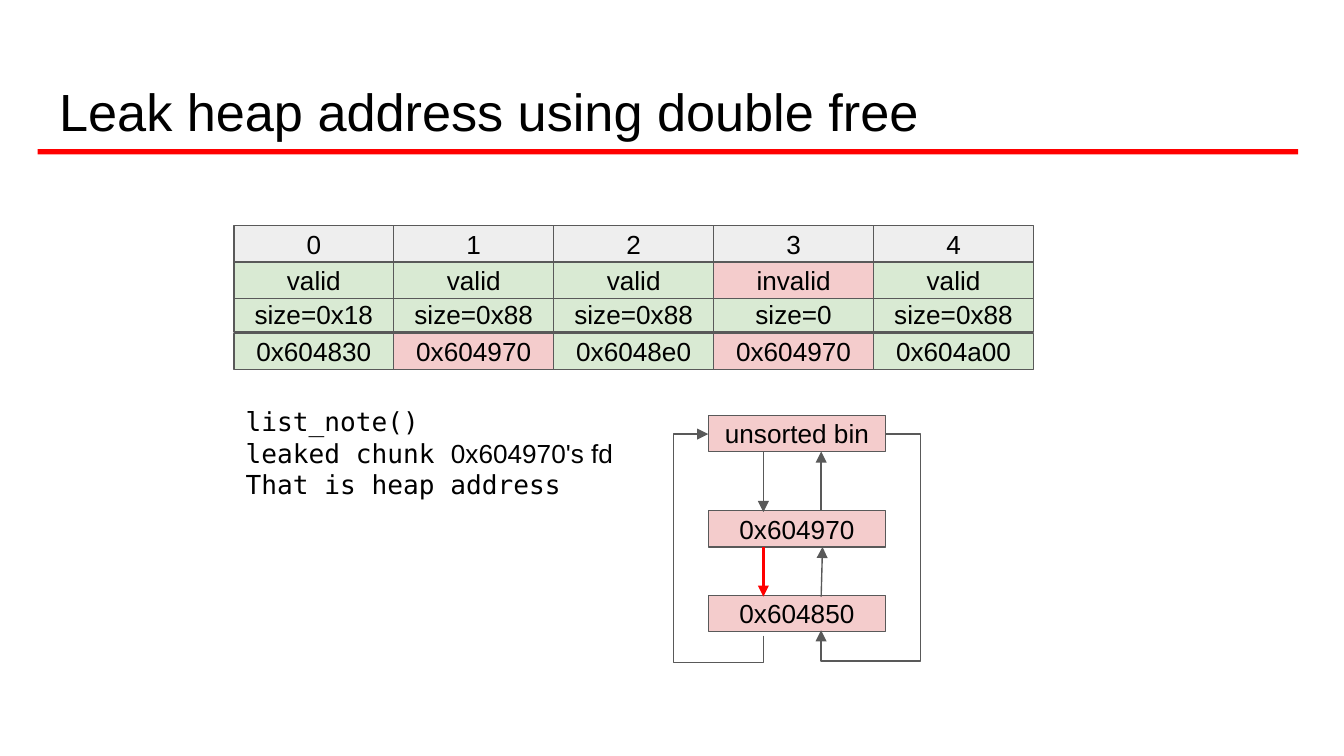
from dataclasses import dataclass

from lxml.etree import SubElement
from pptx import Presentation
from pptx.dml.color import RGBColor
from pptx.enum.shapes import MSO_CONNECTOR, MSO_SHAPE
from pptx.enum.text import MSO_ANCHOR, PP_ALIGN
from pptx.oxml.ns import qn
from pptx.util import Inches, Pt

BLACK = RGBColor(0x00, 0x00, 0x00)
RED = RGBColor(0xFF, 0x00, 0x00)
GRAY = RGBColor(0x59, 0x59, 0x59)
HEADER = RGBColor(0xEE, 0xEE, 0xEE)
GREEN = RGBColor(0xD9, 0xEA, 0xD3)
PINK = RGBColor(0xF4, 0xCC, 0xCC)
SANS, MONO = "Arial", "DejaVu Sans Mono"
CELL_HEIGHT = 0.27

FRAME = {"word_wrap": True, "margin_left": Inches(0.1), "margin_right": Inches(0.1),
         "margin_top": Inches(0.1), "margin_bottom": Inches(0.1)}
CELL_FRAME = FRAME | {"vertical_anchor": MSO_ANCHOR.MIDDLE}
TEXT_FRAME = FRAME | {"vertical_anchor": MSO_ANCHOR.TOP}


@dataclass(frozen=True)
class Grid:
    left: float
    column_width: float
    row_tops: tuple[float, ...]

    def corner(self, column: int, row: int) -> tuple[float, float]:
        return self.left + column * self.column_width, self.row_tops[row]


@dataclass(frozen=True)
class Cell:
    text: str
    fill: RGBColor


@dataclass(frozen=True)
class Arrow:
    start: tuple[float, float]
    end: tuple[float, float]
    color: RGBColor = GRAY
    width: float = 0.75


@dataclass(frozen=True)
class Loop(Arrow):
    """A three-corner arrow; bend holds the outermost x and y."""
    bend: tuple[float, float] = (0, 0)
    leaves_vertically: bool = False


def apply(target, values: dict) -> None:
    for name, value in values.items():
        setattr(target, name, value)


def add_span(para, text: str, font: str, size: float) -> None:
    span = para.add_run()
    span.text = text
    apply(span.font, {"name": font, "size": Pt(size), "bold": False})
    span.font.color.rgb = BLACK


def add_box(page, left: float, top: float, width: float, height: float, fill: RGBColor):
    box = page.shapes.add_shape(MSO_SHAPE.RECTANGLE, *map(Inches, (left, top, width, height)))
    box.shadow.inherit = False
    box.fill.solid()
    box.fill.fore_color.rgb = fill
    return box


def add_cell(page, cell: Cell, corner: tuple[float, float], width: float) -> None:
    box = add_box(page, *corner, width, CELL_HEIGHT, cell.fill)
    box.line.color.rgb = GRAY
    box.line.width = Pt(0.75)
    apply(box.text_frame, CELL_FRAME)
    para = box.text_frame.paragraphs[0]
    para.alignment = PP_ALIGN.CENTER
    add_span(para, cell.text, SANS, 14)


def add_arrow(page, arrow: Arrow, kind=MSO_CONNECTOR.STRAIGHT):
    connector = page.shapes.add_connector(kind, *map(Inches, (*arrow.start, *arrow.end)))
    connector.line.color.rgb = arrow.color
    connector.line.width = Pt(arrow.width)
    SubElement(connector.line._get_or_add_ln(), qn("a:tailEnd"), type="triangle")
    SubElement(connector._element.spPr, qn("a:effectLst"))
    return connector


def add_loop(page, loop: Loop) -> None:
    connector = add_arrow(page, loop, MSO_CONNECTOR.ELBOW)
    # Each adjustment is the bend's distance as a share of the whole run
    shares = [(bend - start) / (end - start)
              for start, end, bend in zip(loop.start, loop.end, loop.bend)]
    properties = connector._element.spPr
    if loop.leaves_vertically:
        shares.reverse()
        width, height = connector.width, connector.height
        apply(connector, {"left": connector.left + (width - height) // 2,
                          "top": connector.top + (height - width) // 2,
                          "width": height, "height": width})
        transform = properties.find(qn("a:xfrm"))
        transform.attrib.pop("flipV", None)
        transform.set("flipH", "1")
        transform.set("rot", str(90 * 60000))
    geometry = properties.find(qn("a:prstGeom"))
    geometry.set("prst", "bentConnector4")
    guides = geometry.find(qn("a:avLst"))
    for number, share in enumerate(shares, 1):
        SubElement(guides, qn("a:gd"), name=f"adj{number}", fmla=f"val {round(share * 100000)}")


def main() -> None:
    # Widescreen page, 16 to 9
    deck = Presentation()
    deck.slide_width = Inches(10)
    deck.slide_height = deck.slide_width * 9 // 16
    page = deck.slides.add_slide(deck.slide_layouts[5])

    # Title and rule
    add_box(page, 0.28, 1.11, 9.38, 0.04, RED).line.fill.background()
    title = page.shapes.title
    apply(title, {"left": Inches(0.34), "top": Inches(0.49),
                  "width": Inches(9.32), "height": Inches(0.63)})
    apply(title.text_frame, TEXT_FRAME)
    title.text_frame.paragraphs[0].alignment = PP_ALIGN.LEFT
    add_span(title.text_frame.paragraphs[0], "Leak heap address using double free", SANS, 28)

    # Explanation
    note = page.shapes.add_textbox(*map(Inches, (1.73, 2.92, 2.99, 1.8))).text_frame
    apply(note, TEXT_FRAME)
    lines = [[("list_note()", MONO)],
             [("leaked chunk ", MONO), ("0x604970's fd", SANS)],
             [("That is heap address", MONO)]]
    for index, spans in enumerate(lines):
        para = note.add_paragraph() if index else note.paragraphs[0]
        for text, font in spans:
            add_span(para, text, font, 14)

    # Note slots: index, state, size and pointer; the state row lies on top
    slots = Grid(1.74, 1.19, (1.68, 1.95, 2.2, 2.48))
    rows = [(["0", "1", "2", "3", "4"], HEADER, set()),
            (["valid", "valid", "valid", "invalid", "valid"], GREEN, {3}),
            (["size=0x18", "size=0x88", "size=0x88", "size=0", "size=0x88"], GREEN, set()),
            (["0x604830", "0x604970", "0x6048e0", "0x604970", "0x604a00"], GREEN, {1, 3})]
    for row in (0, 2, 3, 1):
        texts, fill, marked = rows[row]
        for column, text in enumerate(texts):
            cell = Cell(text, PINK if column in marked else fill)
            add_cell(page, cell, slots.corner(column, row), slots.column_width)

    # Chunks in the unsorted bin
    chunk_left, chunk_width = 5.27, 1.32
    bin_top, first_top, second_top = 3.09, 3.8, 4.43
    for text, top in (("0x604970", first_top), ("0x604850", second_top),
                      ("unsorted bin", bin_top)):
        add_cell(page, Cell(text, PINK), (chunk_left, top), chunk_width)

    # Forward and backward links
    forward, backward = 5.68, 6.11
    bin_bottom, first_bottom = bin_top + CELL_HEIGHT, first_top + CELL_HEIGHT
    for arrow in (Arrow((forward, bin_bottom), (forward, first_top + 0.01)),
                  Arrow((forward, first_bottom), (forward, second_top + 0.01), RED, 1.5),
                  Arrow((backward, first_top), (backward, bin_bottom)),
                  Arrow((backward, second_top + 0.01), (backward + 0.01, first_bottom))):
        add_arrow(page, arrow)

    # Links that close the circle
    bin_middle = 3.23
    add_loop(page, Loop((forward, 4.73), (chunk_left, bin_middle),
                        bend=(5.01, 4.93), leaves_vertically=True))
    add_loop(page, Loop((chunk_left + chunk_width, bin_middle), (backward, 4.69),
                        bend=(6.85, 4.92)))

    deck.save("out.pptx")


if __name__ == "__main__":
    main()
